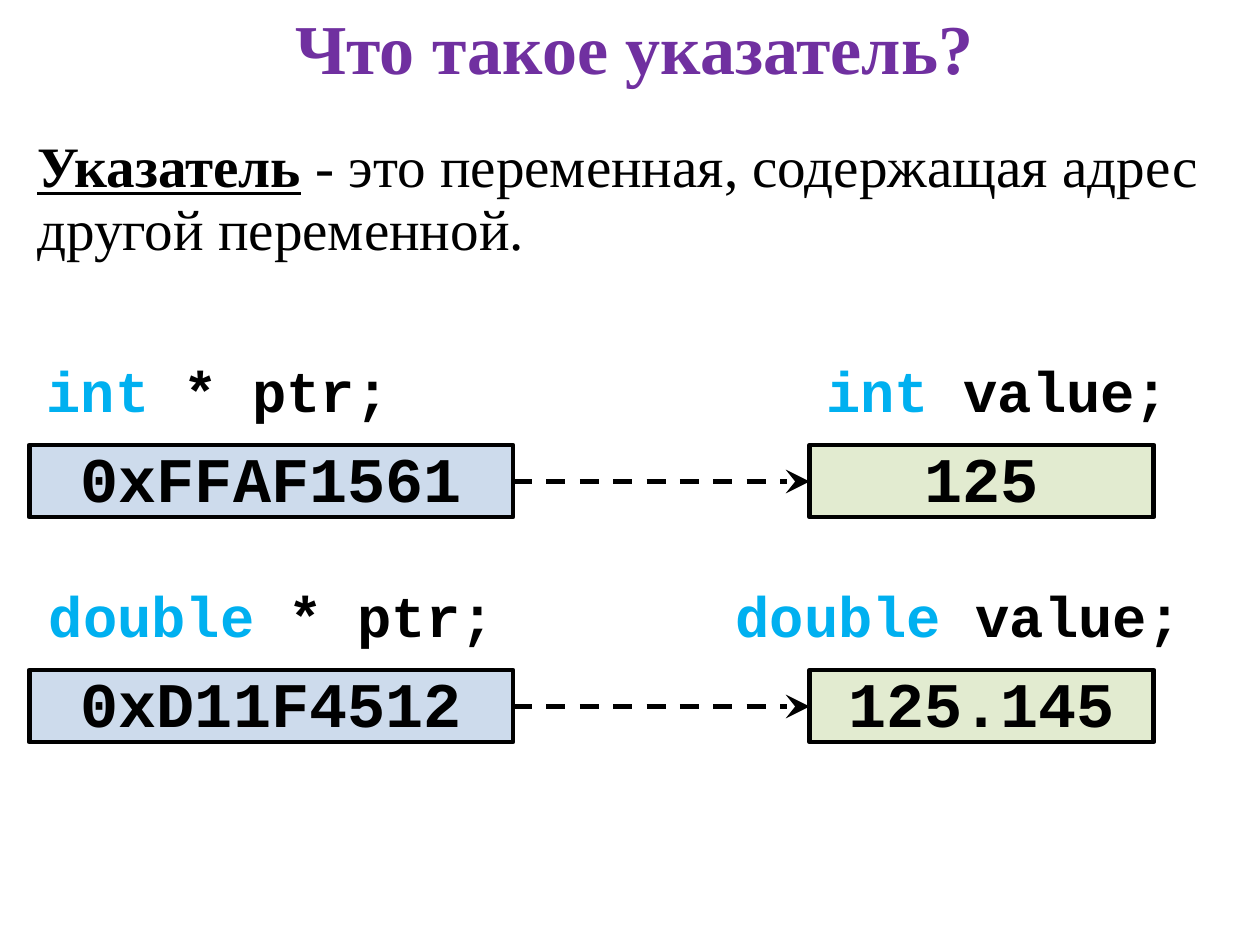
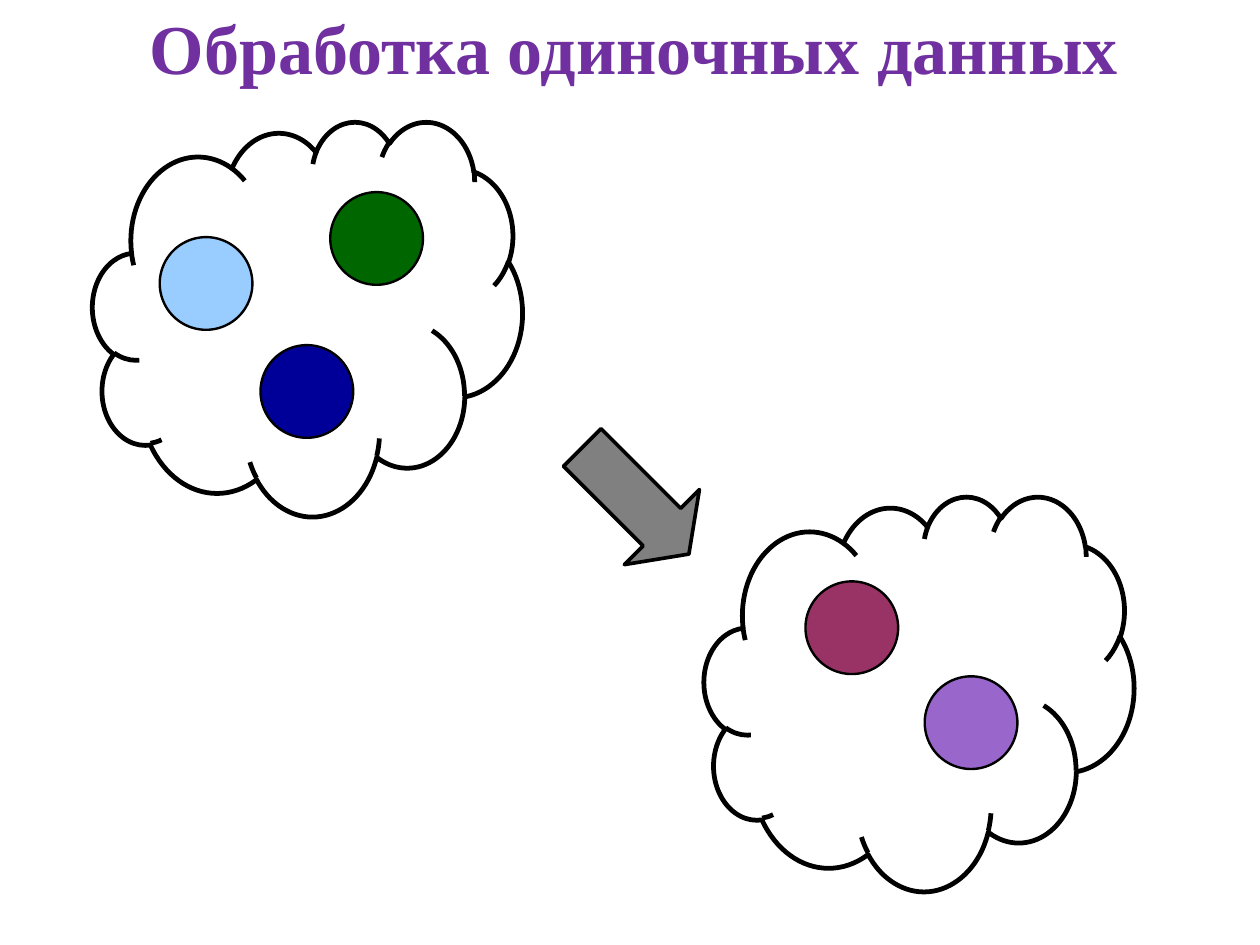
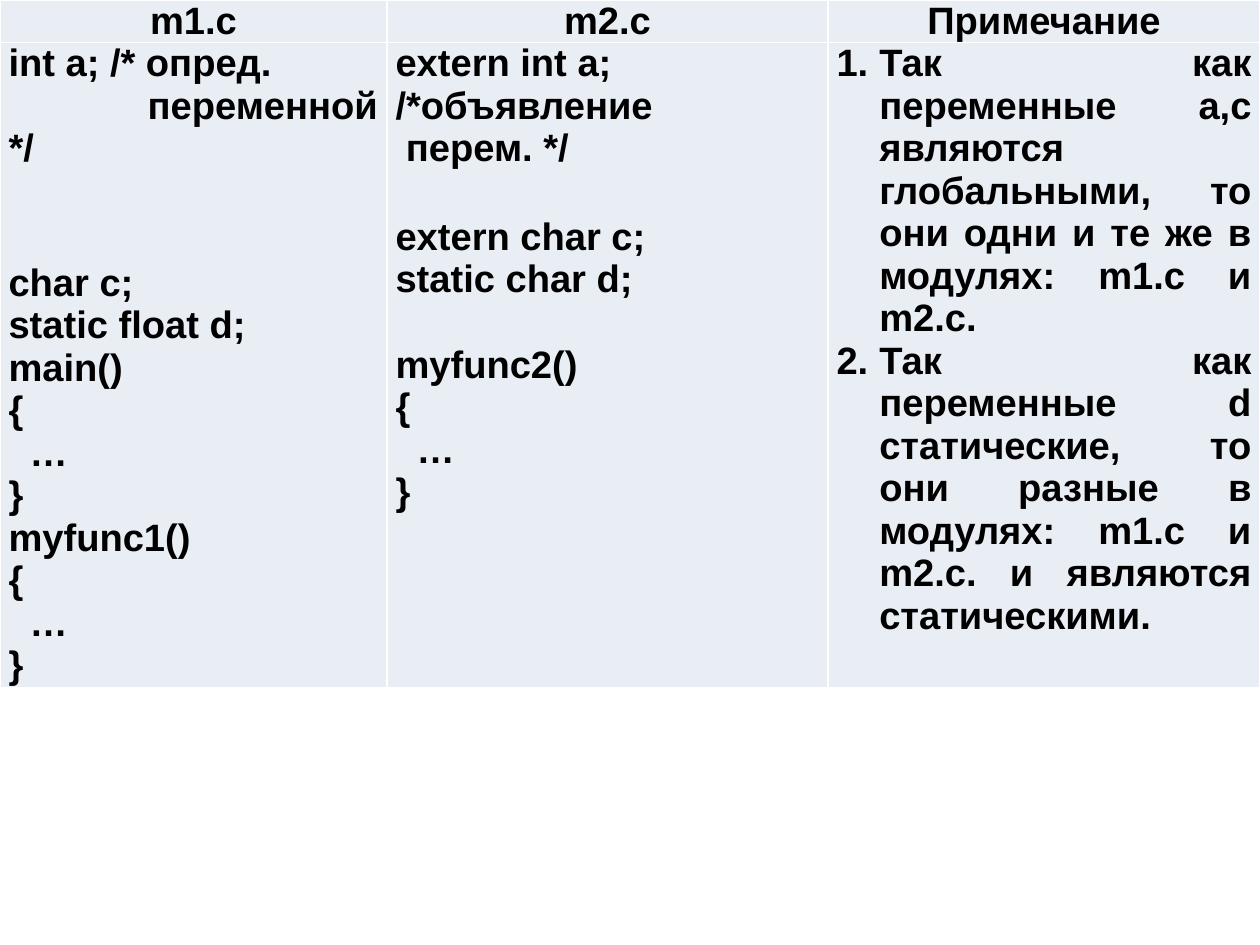
import pptx
import pptx.util
import pptx.dml.color
import pptx.enum.dml
import pptx.enum.shapes
import pptx.enum.text
import pptx.oxml.ns
from dataclasses import dataclass
from lxml import etree

Cm, Pt = pptx.util.Cm, pptx.util.Pt
SHAPE = pptx.enum.shapes.MSO_SHAPE
ALIGN = pptx.enum.text.PP_ALIGN
ANCHOR = pptx.enum.text.MSO_ANCHOR
qn = pptx.oxml.ns.qn


@dataclass(frozen=True)
class Theme:
    title_color: str = "7030A0"
    ink: str = "000000"
    keyword: str = "00B0F0"
    pointer_fill: str = "B9CDE5"
    value_fill: str = "D7E4BD"
    arrow_fill: str = "808080"
    cell_fill: str = "E9EDF4"
    cell_border: str = "FFFFFF"
    serif: str = "Times New Roman"
    code: str = "Courier New"
    sans: str = "Arial"
    title_size: float = 44.1
    box_size: float = 40
    body_size: float = 36
    table_size: float = 24
    text_spacing: float = 0.93
    table_spacing: float = 1.0
    heavy_line: float = 3
    opacity: int = 71


THEME = Theme()

# Content: pointers (type, address, value, pointer label width, value label left and width)
POINTER_TITLE = "Что такое указатель?"
DEFINITION = ("Указатель", " - это переменная, содержащая адрес другой переменной.")
POINTERS = [
    ("int", "0xFFAF1561", "125", 8.33, 18.01, 8.33),
    ("double", "0xD11F4512", "125.145", 10.72, 15.8, 11),
]

# Content: clouds (left, top) and data circles (left, top, colour)
DATA_TITLE = "Обработка одиночных данных"
CLOUDS = [(2.06, 2.69), (15.65, 11.02)]
CIRCLES = [
    (3.55, 5.27, "99CCFF"),
    (5.79, 7.67, "000099"),
    (7.34, 4.27, "006600"),
    (17.9, 12.92, "993366"),
    (20.55, 15.03, "9966CC"),
]

# Content: module table; code lines are (text, first-line indent in cm, space before in pt)
COLUMN_WIDTHS = [8.6, 9.8, 9.6]
ROW_HEIGHTS = [0.93, 14.33]
HEADERS = ["m1.c", "m2.c", "Примечание"]
FUNCTION_BODY = [("{", 0, 0), ("…", 0.47, 0), ("}", 0, 0)]
FIRST_MODULE = [
    ("int a; /* опред.", 0, 0),
    ("переменной */", 3.09, 0),
    ("char c;", 0, 58),
    ("static float d;", 0, 0),
    ("main()", 0, 0), *FUNCTION_BODY,
    ("myfunc1()", 0, 0), *FUNCTION_BODY,
]
SECOND_MODULE = [
    ("extern int a;", 0, 0),
    ("/*объявление", 0, 0),
    ("перем. */", 0.23, 0),
    ("extern char c;", 0, 29),
    ("static char d;", 0, 0),
    ("myfunc2()", 0, 27), *FUNCTION_BODY,
]
NOTES = [
    "Так как переменные a,c являются глобальными, то они одни и те же "
    "в модулях: m1.c и m2.c.",
    "Так как переменные d статические, то они разные в модулях: "
    "m1.c и m2.c. и являются статическими.",
]


# Shared helpers
def rgb(color):
    return pptx.dml.color.RGBColor.from_string(color)


def style_run(run, font, size, color=THEME.ink, bold=True):
    run.font.name, run.font.size, run.font.bold = font, Pt(size), bold
    run.font.color.rgb = rgb(color)


def write_runs(paragraph, parts, font, size, align=ALIGN.CENTER,
               spacing=THEME.text_spacing):
    """Fill a paragraph with (text, colour, bold) parts."""
    paragraph.alignment = align
    paragraph.line_spacing = spacing
    for text, color, bold in parts:
        run = paragraph.add_run()
        run.text = text
        style_run(run, font, size, color, bold)


def add_text(slide, left, top, width, height):
    frame = slide.shapes.add_textbox(Cm(left), Cm(top), Cm(width), Cm(height)).text_frame
    frame.word_wrap = True
    return frame


def add_shape(slide, kind, left, top, width, height, fill, line_width):
    shape = slide.shapes.add_shape(kind, Cm(left), Cm(top), Cm(width), Cm(height))
    shape.shadow.inherit = False
    if fill:
        shape.fill.solid()
        shape.fill.fore_color.rgb = rgb(fill)
    else:
        shape.fill.background()
    shape.line.color.rgb = rgb(THEME.ink)
    shape.line.width = Pt(line_width)
    return shape


def add_slide(presentation, title=None):
    slide = presentation.slides.add_slide(presentation.slide_layouts[6])
    if title:
        frame = add_text(slide, 1.5, 0.1, 25.2, 1.9)
        frame.vertical_anchor = ANCHOR.MIDDLE
        frame.margin_top, frame.margin_bottom = Cm(0.1), Cm(0.15)
        paragraph = frame.paragraphs[0]
        paragraph.text = title
        paragraph.alignment = ALIGN.CENTER
        style_run(paragraph.runs[0], THEME.serif, THEME.title_size, THEME.title_color)
    return slide


# Pointer slide
def add_memory_box(slide, left, top, width, text, fill):
    box = add_shape(slide, SHAPE.RECTANGLE, left, top, width, 1.6, fill, THEME.heavy_line)
    color = box._element.spPr.find(qn("a:solidFill"))[0]
    etree.SubElement(color, qn("a:alpha"), val=str(THEME.opacity * 1000))
    box.text_frame.vertical_anchor = ANCHOR.MIDDLE
    write_runs(box.text_frame.paragraphs[0], [(text, THEME.ink, True)],
               THEME.code, THEME.box_size)


def add_declaration(slide, left, top, width, type_name, rest):
    frame = add_text(slide, left, top, width, 1.7)
    parts = [(type_name, THEME.keyword, True), (rest, THEME.ink, True)]
    write_runs(frame.paragraphs[0], parts, THEME.code, THEME.body_size)


def add_dashed_arrow(slide, start, end, y):
    arrow = slide.shapes.add_connector(pptx.enum.shapes.MSO_CONNECTOR.STRAIGHT,
                                       Cm(start), Cm(y), Cm(end), Cm(y))
    arrow.line.color.rgb = rgb(THEME.ink)
    arrow.line.width = Pt(THEME.heavy_line)
    arrow.line.dash_style = pptx.enum.dml.MSO_LINE.DASH
    properties = arrow._element.spPr
    etree.SubElement(properties.find(qn("a:ln")), qn("a:tailEnd"),
                     type="stealth", w="lg", len="lg")
    etree.SubElement(properties, qn("a:effectLst"))


def build_pointer_slide(presentation):
    slide = add_slide(presentation, POINTER_TITLE)
    frame = add_text(slide, 0.58, 2.9, 26.8, 3.12)
    term, meaning = DEFINITION
    write_runs(frame.paragraphs[0], [(term, THEME.ink, True), (meaning, THEME.ink, False)],
               THEME.serif, THEME.body_size, ALIGN.LEFT)
    frame.paragraphs[0].runs[0].font.underline = True

    pointer_left, pointer_width, value_left, value_width = 0.65, 10.75, 17.99, 7.65
    for index, (kind, address, value, label_width, right, right_width) in enumerate(POINTERS):
        top = 9.89 + index * 5
        add_declaration(slide, 0.68, top - 1.98, label_width, kind, " * ptr;")
        add_declaration(slide, right, top - 1.99, right_width, kind, " value;")
        add_memory_box(slide, pointer_left, top, pointer_width, address, THEME.pointer_fill)
        add_memory_box(slide, value_left, top, value_width, value, THEME.value_fill)
        add_dashed_arrow(slide, pointer_left + pointer_width, value_left, top + 0.81)


# Data slide
def build_data_slide(presentation):
    slide = add_slide(presentation, DATA_TITLE)
    for left, top in CLOUDS:
        add_shape(slide, SHAPE.CLOUD, left, top, 9.55, 8.77, None, THEME.heavy_line)
    for left, top, color in CIRCLES:
        add_shape(slide, SHAPE.OVAL, left, top, 2.06, 2.06, color, 1.5)
    arrow = add_shape(slide, SHAPE.RIGHT_ARROW, 12.45, 9.95, 3.35, 2.36,
                      THEME.arrow_fill, 2.3)
    arrow.rotation = 45
    arrow.adjustments[0], arrow.adjustments[1] = 0.5, 0.36


# Module table slide
def style_cell(cell):
    cell.margin_left = cell.margin_right = Cm(0.19)
    cell.margin_top = cell.margin_bottom = 0
    properties = cell._tc.get_or_add_tcPr()
    for side in ("lnL", "lnR", "lnT", "lnB"):
        border = etree.SubElement(properties, qn("a:" + side), w=str(Pt(1)))
        fill = etree.SubElement(border, qn("a:solidFill"))
        etree.SubElement(fill, qn("a:srgbClr"), val=THEME.cell_border)
    cell.fill.solid()
    cell.fill.fore_color.rgb = rgb(THEME.cell_fill)


def fill_cell(cell, lines, align, numbered=False):
    style_cell(cell)
    frame = cell.text_frame
    for index, (text, indent, space) in enumerate(lines):
        paragraph = frame.add_paragraph() if index else frame.paragraphs[0]
        write_runs(paragraph, [(text, THEME.ink, True)], THEME.sans,
                   THEME.table_size, align, THEME.table_spacing)
        if space:
            paragraph.space_before = Pt(space)
        properties = paragraph._p.get_or_add_pPr()
        properties.set("indent", str(Cm(indent)))
        if numbered:
            properties.set("marL", str(Cm(-indent)))
            etree.SubElement(properties, qn("a:buFont"), typeface=THEME.sans)
            etree.SubElement(properties, qn("a:buAutoNum"), type="arabicPeriod")


def build_module_slide(presentation):
    slide = add_slide(presentation)
    table = slide.shapes.add_table(len(ROW_HEIGHTS), len(COLUMN_WIDTHS), 0, 0,
                                   Cm(sum(COLUMN_WIDTHS)), Cm(sum(ROW_HEIGHTS))).table
    table.first_row = table.horz_banding = False
    for column, width in zip(table.columns, COLUMN_WIDTHS):
        column.width = Cm(width)
    for row, height in zip(table.rows, ROW_HEIGHTS):
        row.height = Cm(height)
    for index, header in enumerate(HEADERS):
        fill_cell(table.cell(0, index), [(header, 0, 0)], ALIGN.CENTER)
    for index, module in enumerate((FIRST_MODULE, SECOND_MODULE)):
        fill_cell(table.cell(1, index), module, ALIGN.JUSTIFY)
    fill_cell(table.cell(1, 2), [(note, -0.95, 0) for note in NOTES],
              ALIGN.JUSTIFY, numbered=True)


def main():
    presentation = pptx.Presentation()
    presentation.slide_width, presentation.slide_height = Cm(28), Cm(21)
    build_pointer_slide(presentation)
    build_data_slide(presentation)
    build_module_slide(presentation)
    presentation.save("out.pptx")


if __name__ == "__main__":
    main()
